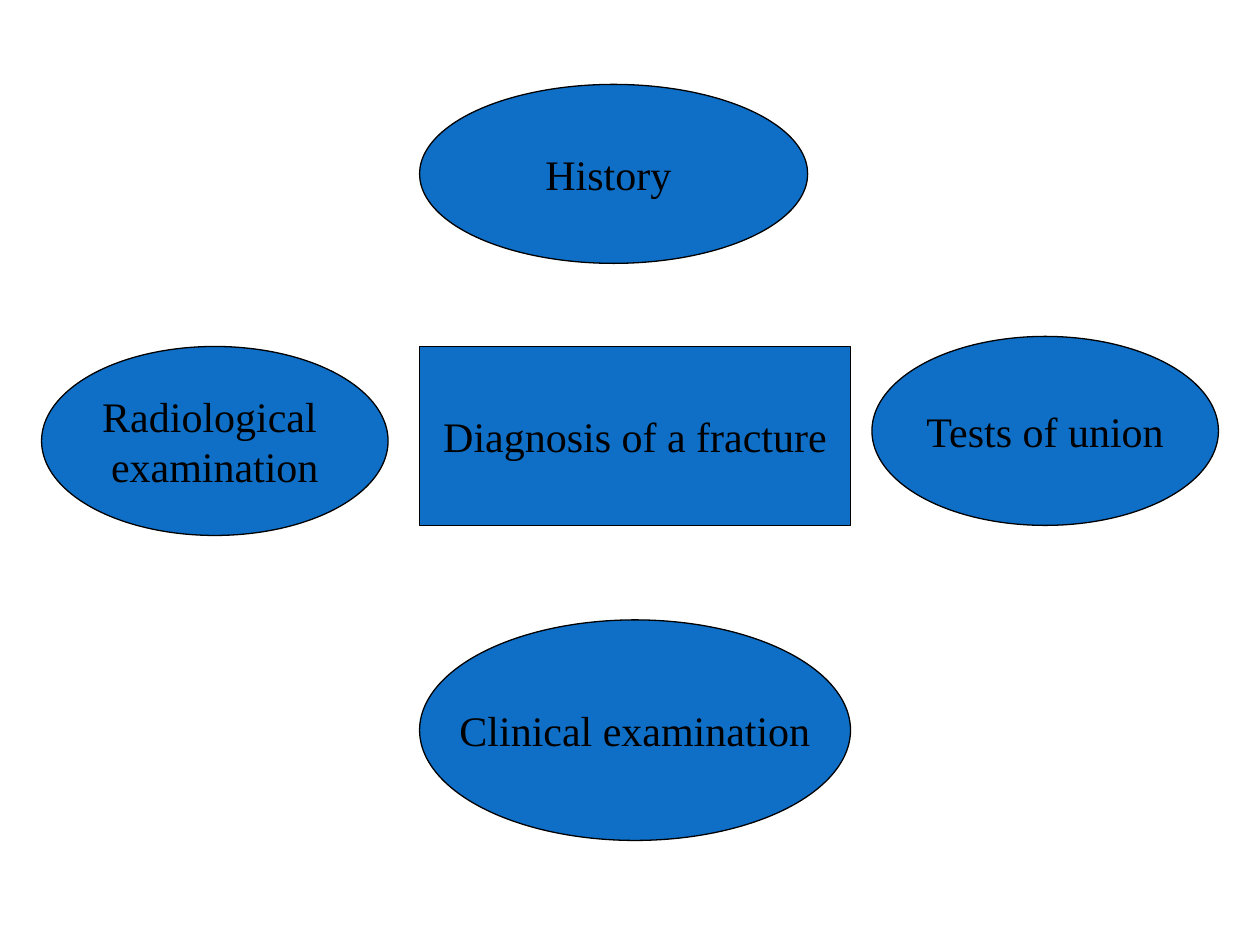
from pptx import Presentation
from pptx.dml.color import RGBColor
from pptx.enum.shapes import MSO_SHAPE
from pptx.enum.text import MSO_ANCHOR, PP_ALIGN
from pptx.util import Inches, Pt

RECT, OVAL = MSO_SHAPE.RECTANGLE, MSO_SHAPE.OVAL
COLORS = {"fill": "0F6FC6", "ink": "000000"}
FONT = {"name": "Times New Roman", "size": Pt(24)}
FRAME = {"word_wrap": False, "vertical_anchor": MSO_ANCHOR.MIDDLE}

# kind, (left, top, width, height) in inches, lines of text
NODES = [
    (RECT, (3.33, 2.75, 3.42, 1.42), ["Diagnosis of a fracture"]),
    (OVAL, (3.33, 0.67, 3.08, 1.42), ["History "]),
    (OVAL, (3.33, 4.92, 3.42, 1.75), ["Clinical examination"]),
    (OVAL, (0.33, 2.75, 2.75, 1.5), ["Radiological ", "examination"]),
    (OVAL, (6.92, 2.67, 2.75, 1.5), ["Tests of union"]),
]


def color(name):
    return RGBColor.from_string(COLORS[name])


def set_attrs(target, values):
    for key, value in values.items():
        setattr(target, key, value)


def add_node(s, kind, box, lines):
    sp = s.shapes.add_shape(kind, *map(Inches, box))
    sp.shadow.inherit = False
    sp.fill.solid()
    sp.fill.fore_color.rgb = color("fill")
    sp.line.color.rgb = color("ink")
    sp.line.width = Pt(0.75)
    tf = sp.text_frame
    set_attrs(tf, FRAME)
    tf.text = "\n".join(lines)
    for p in tf.paragraphs:
        p.alignment = PP_ALIGN.CENTER
        for r in p.runs:
            set_attrs(r.font, FONT)
            r.font.color.rgb = color("ink")


prs = Presentation()
prs.slide_width, prs.slide_height = Inches(10), Inches(7.5)
s = prs.slides.add_slide(prs.slide_layouts[6])
for node in NODES:
    add_node(s, *node)
prs.save("out.pptx")
